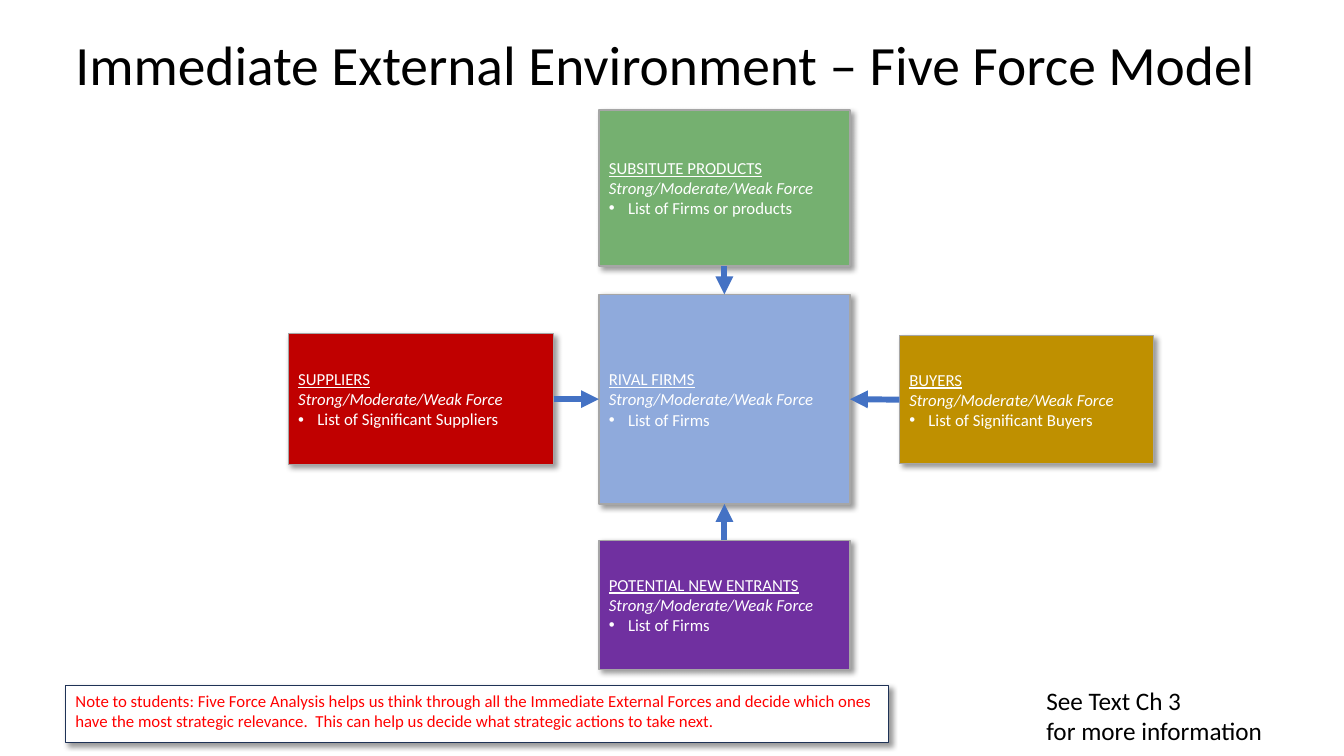
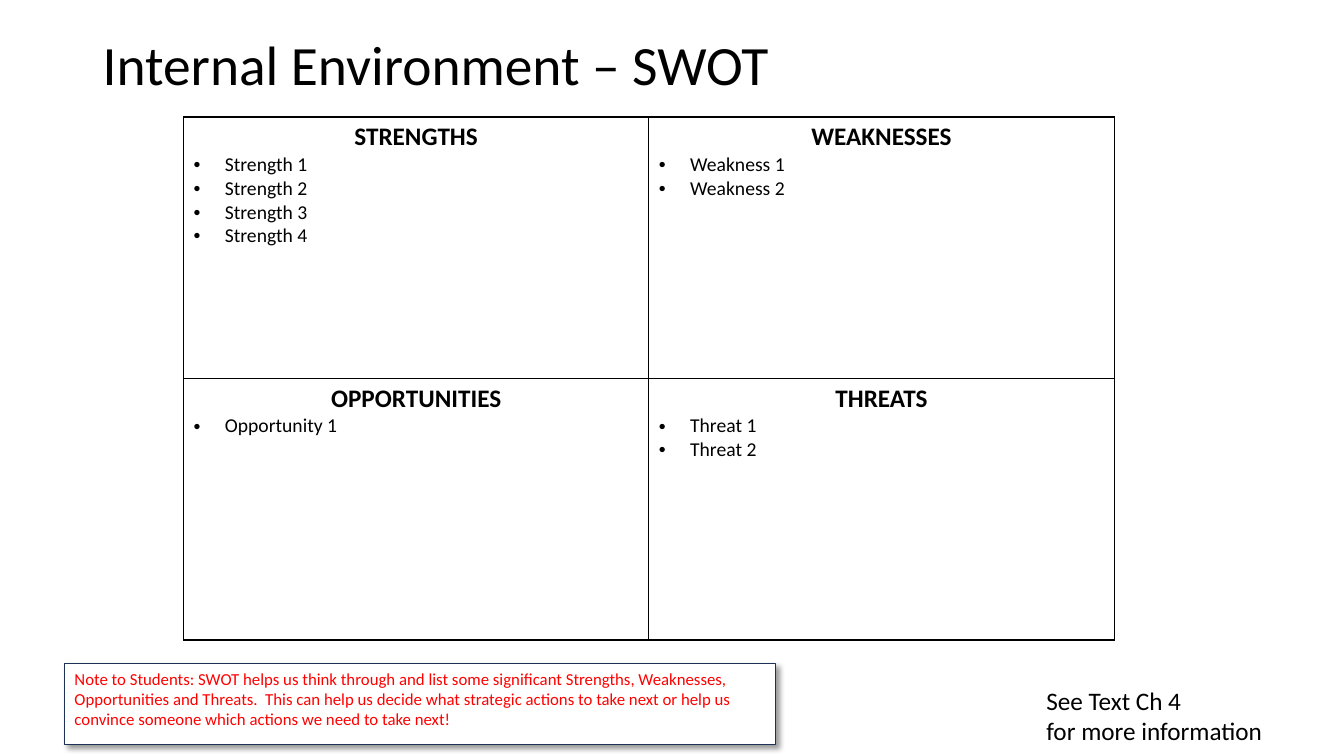
from dataclasses import dataclass

from lxml import etree
from pptx import Presentation
from pptx.dml.color import RGBColor
from pptx.enum.shapes import MSO_CONNECTOR, MSO_SHAPE
from pptx.enum.text import MSO_ANCHOR, PP_ALIGN
from pptx.oxml.ns import qn
from pptx.util import Inches, Pt

RECT = MSO_SHAPE.RECTANGLE
STRAIGHT = MSO_CONNECTOR.STRAIGHT
TOP, MIDDLE = MSO_ANCHOR.TOP, MSO_ANCHOR.MIDDLE
LEFT, CENTER = PP_ALIGN.LEFT, PP_ALIGN.CENTER
# Connection sites of a rectangle
NORTH, WEST, SOUTH, EAST = range(4)


@dataclass(frozen=True)
class Theme:
    font: str = "Calibri"
    black: str = "000000"
    white: str = "FFFFFF"
    red: str = "FF0000"
    navy: str = "1E3256"
    gray: str = "A6A6A6"
    arrow: str = "4472C4"
    rival: str = "8FAADC"
    green: str = "75B070"
    purple: str = "7030A0"
    gold: str = "BF9000"
    crimson: str = "C00000"
    title: float = 39.6
    head: float = 18
    item: float = 14
    small: float = 12


THEME = Theme()


def rgb(code):
    return RGBColor.from_string(code)


def add(parent, tag, **attrs):
    """Append an XML child such as a:ln and return it."""
    node = etree.SubElement(parent, qn(tag))
    for key, value in attrs.items():
        node.set(key, str(value))
    return node


def write(frame, text, size=THEME.small, color=THEME.black, bold=False,
          italic=False, under=False, align=LEFT, indent=None, spacing=None):
    """Add one paragraph to a text frame; an indent in inches gives a bullet."""
    para = frame.paragraphs[0]
    if para.runs:
        para = frame.add_paragraph()
    if indent:
        props = para._p.get_or_add_pPr()
        props.set("marL", str(Inches(indent)))
        props.set("indent", str(-Inches(indent)))
        add(props, "a:buFont", typeface="Arial")
        add(props, "a:buChar", char="•")
    para.alignment = align
    if spacing:
        para.line_spacing = spacing
    run = para.add_run()
    run.text = text
    font = run.font
    font.name, font.size = THEME.font, Pt(size)
    font.color.rgb = rgb(color)
    font.bold, font.italic, font.underline = bold, italic, under


class Deck:
    def __init__(self, theme):
        self.theme = theme
        self.prs = Presentation()
        self.prs.slide_width = Inches(13.33)
        self.prs.slide_height = Inches(7.5)
        self.slide = None

    def text(self, x, y, w, h, anchor=TOP):
        box = self.slide.shapes.add_textbox(
            Inches(x), Inches(y), Inches(w), Inches(h))
        frame = box.text_frame
        frame.word_wrap = True
        frame.vertical_anchor = anchor
        return frame

    def start(self, title, x, w, chapter):
        """Begin a slide with its title and chapter reference."""
        self.slide = self.prs.slides.add_slide(self.prs.slide_layouts[6])
        write(self.text(x, 0.4, w, 0.54, MIDDLE), title,
              size=self.theme.title, spacing=0.9)
        frame = self.text(10.28, 6.75, 2.5, 0.71)
        for line in (f"See Text Ch {chapter}", "for more information"):
            write(frame, line, size=self.theme.head)

    def box(self, x, y, w, h, fill, line, width, anchor):
        """Draw a filled rectangle with a soft shadow."""
        shape = self.slide.shapes.add_shape(
            RECT, Inches(x), Inches(y), Inches(w), Inches(h))
        shape.fill.solid()
        shape.fill.fore_color.rgb = rgb(fill)
        shape.line.color.rgb = rgb(line)
        shape.line.width = Pt(width)
        shape.shadow.inherit = False
        effects = shape._element.spPr.find(qn("a:effectLst"))
        shade = add(effects, "a:outerShdw", blurRad=Pt(4), dist=Pt(3),
                    dir=45 * 60000, algn="tl", rotWithShape=0)
        tone = add(shade, "a:srgbClr", val=self.theme.black)
        add(tone, "a:alpha", val=40000)
        shape.text_frame.word_wrap = True
        shape.text_frame.vertical_anchor = anchor
        return shape

    def force(self, x, y, w, h, fill, name, item):
        shape = self.box(x, y, w, h, fill, self.theme.gray, 1, MIDDLE)
        frame, white = shape.text_frame, self.theme.white
        write(frame, name, color=white, under=True)
        write(frame, "Strong/Moderate/Weak Force", color=white, italic=True)
        write(frame, item, color=white, indent=0.19)
        return shape

    def note(self, x, y, w, h, text):
        shape = self.box(x, y, w, h, self.theme.white, self.theme.navy,
                         0.75, TOP)
        write(shape.text_frame, text, color=self.theme.red)

    def arrow(self, start, out, end, into):
        link = self.slide.shapes.add_connector(STRAIGHT, 0, 0, 0, 0)
        link.begin_connect(start, out)
        link.end_connect(end, into)
        link.line.color.rgb = rgb(self.theme.arrow)
        link.line.width = Pt(4.25)
        add(link.line._get_or_add_ln(), "a:tailEnd", type="triangle")
        add(link._element.spPr, "a:effectLst")

    def grid(self, x, y, w, h, rows):
        """Draw a bordered table of (heading, items) cells."""
        table = self.slide.shapes.add_table(
            len(rows), len(rows[0]),
            Inches(x), Inches(y), Inches(w), Inches(h)).table
        table.first_row = table.horz_banding = False
        for r, row in enumerate(rows):
            for c, (head, items) in enumerate(row):
                self.cell(table.cell(r, c), head, items)

    def cell(self, cell, head, items):
        props = cell._tc.get_or_add_tcPr()
        for side in "LRTB":
            edge = add(props, f"a:ln{side}", w=Pt(1))
            add(add(edge, "a:solidFill"), "a:srgbClr", val=self.theme.black)
        cell.fill.solid()
        cell.fill.fore_color.rgb = rgb(self.theme.white)
        write(cell.text_frame, head, size=self.theme.head, bold=True,
              align=CENTER)
        for item in items:
            write(cell.text_frame, item, size=self.theme.item, indent=0.31)


def forces(deck):
    theme = deck.theme
    deck.start("Immediate External Environment – Five Force Model",
               0.65, 12.04, 3)
    x, w = 5.94, 2.49
    rival = deck.force(x, 2.92, w, 2.08, theme.rival,
                       "RIVAL FIRMS", "List of Firms")
    around = (
        (x, 1.09, w, 1.55, theme.green, "SUBSITUTE PRODUCTS",
         "List of Firms or products", SOUTH, NORTH),
        (x, 5.36, w, 1.28, theme.purple, "POTENTIAL NEW ENTRANTS",
         "List of Firms", NORTH, SOUTH),
        (8.92, 3.33, 2.52, 1.27, theme.gold, "BUYERS",
         "List of Significant Buyers", WEST, EAST),
        (2.86, 3.31, 2.63, 1.3, theme.crimson, "SUPPLIERS",
         "List of Significant Suppliers", EAST, WEST),
    )
    for *look, out, into in around:
        deck.arrow(deck.force(*look), out, rival, into)
    deck.note(0.65, 6.8, 8.16, 0.57,
              "Note to students: Five Force Analysis helps us think through "
              "all the Immediate External Forces and decide which ones have "
              "the most strategic relevance.  This can help us decide what "
              "strategic actions to take next.")


def swot(deck):
    deck.start("Internal Environment – SWOT", 0.92, 11.5, 4)
    deck.note(0.64, 6.58, 7.05, 0.81,
              "Note to Students: SWOT helps us think through and list some "
              "significant Strengths, Weaknesses, Opportunities and Threats.  "
              "This can help us decide what strategic actions to take next or "
              "help us convince someone which actions we need to take next!")
    deck.grid(1.82, 1.16, 9.23, 5.19, (
        (("STRENGTHS", [f"Strength {n}" for n in range(1, 5)]),
         ("WEAKNESSES", ["Weakness 1", "Weakness 2"])),
        (("OPPORTUNITIES", ["Opportunity 1"]),
         ("THREATS", ["Threat 1", "Threat 2"])),
    ))


def main():
    deck = Deck(THEME)
    forces(deck)
    swot(deck)
    deck.prs.save("out.pptx")


if __name__ == "__main__":
    main()
